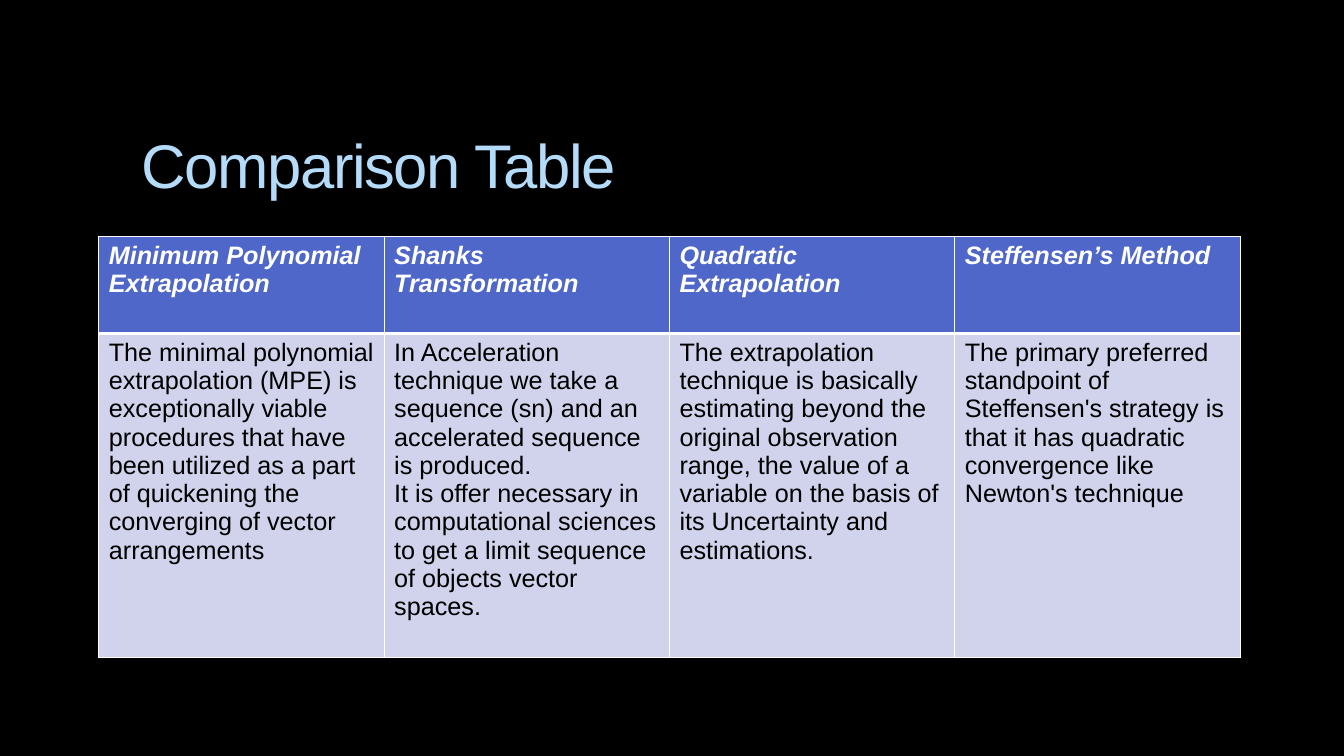
"""Build the slide that compares four extrapolation methods."""
from dataclasses import dataclass
from typing import Any

from lxml.etree import SubElement
from pptx import Presentation
from pptx.dml.color import RGBColor as RGB
from pptx.enum.text import MSO_ANCHOR as Anchor, MSO_AUTO_SIZE as AutoSize, PP_ALIGN as Align
from pptx.oxml.ns import qn
from pptx.util import Inches, Pt


@dataclass(frozen=True)
class Theme:
    """Colours, font and type sizes of the slide."""
    font: str = "Arial"
    background: str = "000000"
    title: str = "B4DCFA"
    header_fill: str = "4E67C8"
    header_text: str = "FFFFFF"
    body_fill: str = "D0D3EB"
    body_text: str = "000000"
    border: str = "FFFFFF"
    title_size: int = 44
    table_size: int = 18
    thin: int = 1
    thick: int = 3


@dataclass(frozen=True)
class Method:
    """One column of the table."""
    name: str
    paragraphs: tuple[str, ...]


@dataclass(frozen=True)
class RowStyle:
    """Look of one table row."""
    fill: str
    color: str
    emphasis: bool
    top: int
    bottom: int


THEME = Theme()
HEADER = RowStyle(THEME.header_fill, THEME.header_text, True, THEME.thin, THEME.thick)
BODY = RowStyle(THEME.body_fill, THEME.body_text, False, THEME.thick, THEME.thin)
ROW_HEIGHTS = (0.96, 3.21)
COLUMN_WIDTH = 2.83
METHODS = (
    Method("Minimum Polynomial Extrapolation", (
        "The minimal polynomial extrapolation (MPE) is exceptionally viable procedures that "
        "have been utilized as a part of quickening the converging of vector arrangements",)),
    Method("Shanks Transformation", (
        "In Acceleration technique we take a sequence (sn) and an accelerated sequence "
        "is produced.",
        "It is offer necessary in computational sciences to get a limit sequence of objects "
        "vector spaces.")),
    Method("Quadratic Extrapolation", (
        "The extrapolation technique is basically estimating beyond the original observation "
        "range, the value of a variable on the basis of its Uncertainty and estimations.",)),
    Method("Steffensen’s Method", (
        "The primary preferred standpoint of Steffensen's strategy is that it has quadratic "
        "convergence like Newton's technique",)),
)


def apply(target: Any, values: dict[str, Any]) -> None:
    """Set every attribute named in values."""
    for name, value in values.items():
        setattr(target, name, value)


def style_font(font: Any, size: int, color: str, emphasis: bool = False) -> None:
    """Format a font with the theme typeface."""
    apply(font, {"name": THEME.font, "size": Pt(size), "bold": emphasis, "italic": emphasis})
    font.color.rgb = RGB.from_string(color)


def add_border(cell: Any, side: str, width: int) -> None:
    """Draw one edge of a cell."""
    ln = SubElement(cell._tc.get_or_add_tcPr(), qn(f"a:ln{side}"), w=str(Pt(width)))
    SubElement(SubElement(ln, qn("a:solidFill")), qn("a:srgbClr"), val=THEME.border)


def fill_cell(cell: Any, paragraphs: tuple[str, ...], style: RowStyle) -> None:
    """Write and format one table cell."""
    cell.text = "\n".join(paragraphs)
    for p in cell.text_frame.paragraphs:
        for r in p.runs:
            style_font(r.font, THEME.table_size, style.color, style.emphasis)
    edges = {"L": THEME.thin, "R": THEME.thin, "T": style.top, "B": style.bottom}
    for side, width in edges.items():
        add_border(cell, side, width)
    cell.fill.solid()
    cell.fill.fore_color.rgb = RGB.from_string(style.fill)


def add_title(slide: Any, text: str) -> None:
    """Fill the title placeholder."""
    sp = slide.shapes.title
    apply(sp, {"left": Inches(1.3), "top": Inches(1.13),
               "width": Inches(11.33), "height": Inches(1)})
    tf = sp.text_frame
    tf.text = text
    apply(tf, {"word_wrap": True, "auto_size": AutoSize.NONE, "vertical_anchor": Anchor.MIDDLE})
    p = tf.paragraphs[0]
    p.alignment = Align.LEFT
    r = p.runs[0]
    style_font(r.font, THEME.title_size, THEME.title)
    r.font._element.set("spc", "-100")


def add_comparison(slide: Any, methods: tuple[Method, ...]) -> None:
    """Add the table with one column per method."""
    table = slide.shapes.add_table(
        len(ROW_HEIGHTS), len(methods), Inches(0.98), Inches(2.35),
        Inches(COLUMN_WIDTH * len(methods)), Inches(sum(ROW_HEIGHTS))).table
    for row, height in zip(table.rows, ROW_HEIGHTS):
        row.height = Inches(height)
    for i, method in enumerate(methods):
        table.columns[i].width = Inches(COLUMN_WIDTH)
        fill_cell(table.cell(0, i), (method.name,), HEADER)
        fill_cell(table.cell(1, i), method.paragraphs, BODY)


def main() -> None:
    """Create and save the presentation."""
    prs = Presentation()
    apply(prs, {"slide_width": Inches(13.33), "slide_height": Inches(7.5)})
    slide = prs.slides.add_slide(prs.slide_layouts[5])
    slide.background.fill.solid()
    slide.background.fill.fore_color.rgb = RGB.from_string(THEME.background)
    add_title(slide, "Comparison Table")
    add_comparison(slide, METHODS)
    prs.save("out.pptx")


if __name__ == "__main__":
    main()
